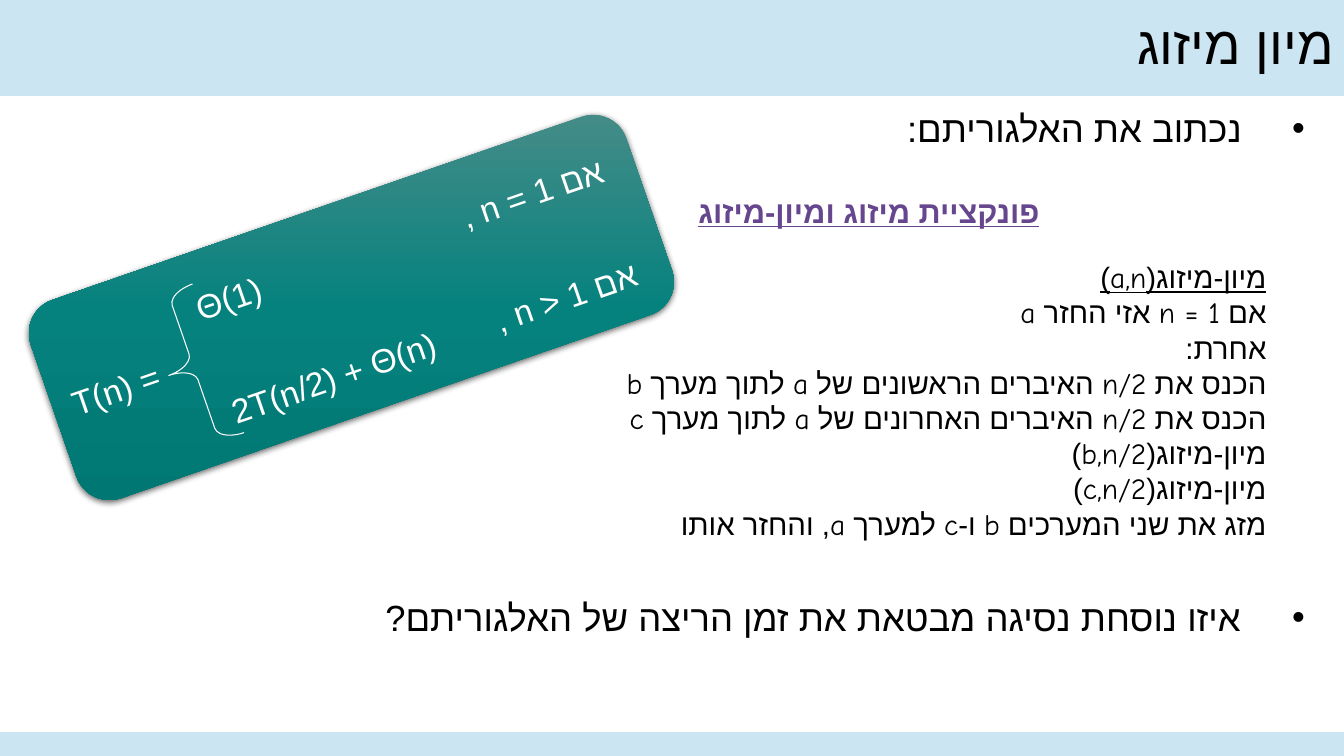
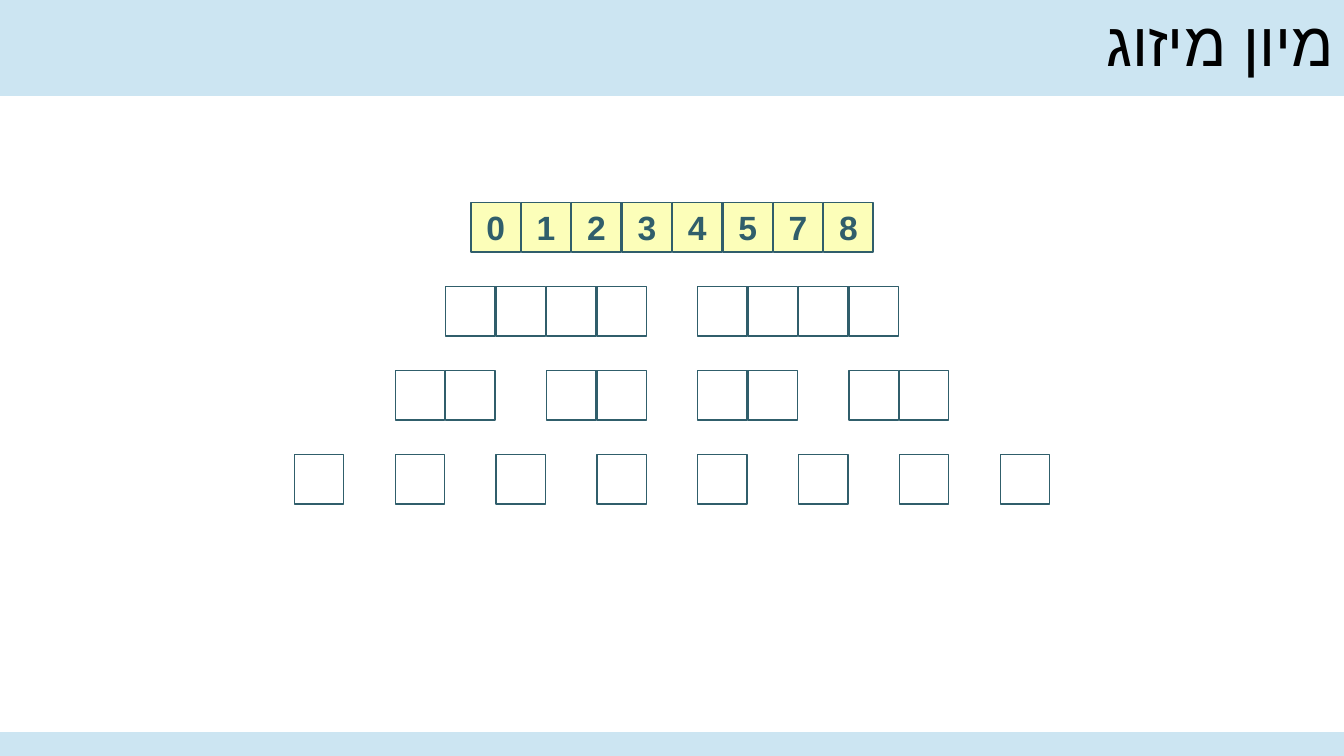
"""Builds two Hebrew slides on merge sort."""
from pptx import Presentation
from pptx.dml.color import RGBColor
from pptx.enum.shapes import MSO_SHAPE as Preset
from pptx.enum.text import MSO_ANCHOR as Anchor, PP_ALIGN as Align
from pptx.oxml import parse_xml
from pptx.oxml.ns import nsdecls
from pptx.util import Inches, Pt

BAND, INK, WHITE = "CCE5F2", "000000", "FFFFFF"
HEADING, CELL_LINE, SORTED_FILL = "66478F", "305E6B", "FCFEB9"
PANEL_STOPS = [(0, "478C88"), (50, "06827E"), (100, "007773")]
HEBREW_FONT = "Arial"
TILT = 340.9

TITLE = "מיון מיזוג"
INTRO = "נכתוב את האלגוריתם:"
CODE_HEADING = "פונקציית מיזוג ומיון-מיזוג"
CODE = [
    "מיון-מיזוג(a,n)",
    "אם n = 1 אזי החזר a",
    "אחרת:",
    "הכנס את n/2 האיברים הראשונים של a לתוך מערך b",
    "הכנס את n/2 האיברים האחרונים של a לתוך מערך c",
    "מיון-מיזוג(b,n/2)",
    "מיון-מיזוג(c,n/2)",
    "מזג את שני המערכים b ו-c למערך a, והחזר אותו",
]
QUESTION = "איזו נוסחת נסיגה מבטאת את זמן הריצה של האלגוריתם?"
BULLET = dict(size=26, indent=0.62, bullet=True)
BODY = [
    (INTRO, BULLET),
    (CODE_HEADING, dict(size=22, indent=2.63, before=35.5, color=HEADING, bold=True, underline=True)),
    *[
        (line, dict(size=21, font="Comic Neue", indent=0.38, before=5 if row else 26.5, underline=row == 0))
        for row, line in enumerate(CODE)
    ],
    (QUESTION, dict(BULLET, before=45)),
]
RECURRENCE = "T(n) ="
CASES = [("Θ(1)\t, n = 1 אם", 2.79), ("2T(n/2) + Θ(n)\t, n > 1 אם", 2.77)]
SORTED_VALUES = [0, 1, 2, 3, 4, 5, 7, 8]
GROUP_COUNTS = [1, 2, 4, 8]


def color_of(value):
    """Turn a hex string into a colour."""
    return RGBColor.from_string(value)


def style(para, size, font="Calibri", color=INK, bold=False, underline=False):
    """Format every run of a paragraph, for Latin and Hebrew alike."""
    for span in para.runs:
        span.font.size, span.font.name = Pt(size), font
        span.font.bold, span.font.underline = bold, underline
        span.font.color.rgb = color_of(color)
        span.font._element.append(parse_xml(f'<a:cs {nsdecls("a")} typeface="{HEBREW_FONT}"/>'))


def make_rtl(para, align=Align.RIGHT):
    """Set right-to-left reading and the alignment."""
    para.alignment = align
    para._p.get_or_add_pPr().set("rtl", "1")


def add_preset(page, kind, left, top, width, height, fill=None, line=None, weight=1):
    """Add a flat preset shape."""
    shape = page.shapes.add_shape(kind, Inches(left), Inches(top), Inches(width), Inches(height))
    shape.shadow.inherit = False
    if fill:
        shape.fill.solid()
        shape.fill.fore_color.rgb = color_of(fill)
    else:
        shape.fill.background()
    if line:
        shape.line.color.rgb = color_of(line)
        shape.line.width = Pt(weight)
    else:
        shape.line.fill.background()
    return shape


def add_text(page, left, top, width, height, lines):
    """Add a wrapping text box with one paragraph per line."""
    box = page.shapes.add_textbox(Inches(left), Inches(top), Inches(width), Inches(height))
    box.text_frame.word_wrap = True
    box.text_frame.text = "\n".join(lines)
    return box


def add_page(deck, title_size):
    """Add a slide with its two bands and the title."""
    page = deck.slides.add_slide(deck.slide_layouts[6])
    for top, height in [(0, 0.95), (7.27, 0.24)]:
        add_preset(page, Preset.RECTANGLE, 0, top, 13.33, height, BAND, BAND)
    box = add_text(page, 1.13, -0.01, 12.2, 0.95, [TITLE])
    box.text_frame.vertical_anchor = Anchor.MIDDLE
    para = box.text_frame.paragraphs[0]
    make_rtl(para)
    para.line_spacing = 0.9
    style(para, title_size)
    return page


def add_body(page):
    """Add the bullets and the algorithm."""
    box = add_text(page, 0.31, 1.09, 12.73, 6.01, [line for line, _ in BODY])
    for para, (_, look) in zip(box.text_frame.paragraphs, BODY):
        look = dict(look)
        indent, bullet = Inches(look.pop("indent")), look.pop("bullet", False)
        make_rtl(para)
        para.line_spacing = 0.8
        para.space_before = Pt(look.pop("before", 0))
        props = para._p.get_or_add_pPr()
        props.set("marL", str(indent))
        props.set("indent", str(-indent if bullet else 0))
        if bullet:
            props.append(parse_xml(f'<a:buFont {nsdecls("a")} typeface="Arial"/>'))
            props.append(parse_xml(f'<a:buChar {nsdecls("a")} char="•"/>'))
        style(para, **look)


def paint_panel(panel):
    """Give the panel its gradient and soft shadow."""
    stops = "".join(
        f'<a:gs pos="{place * 1000}"><a:srgbClr val="{value}"/></a:gs>' for place, value in PANEL_STOPS
    )
    gradient = parse_xml(
        f'<a:gradFill {nsdecls("a")} rotWithShape="0"><a:gsLst>{stops}</a:gsLst>'
        '<a:lin ang="5400000" scaled="0"/></a:gradFill>'
    )
    shadow = parse_xml(
        f'<a:outerShdw {nsdecls("a")} blurRad="{Pt(4.5)}" dist="{Pt(1.5)}" dir="5400000" rotWithShape="0">'
        f'<a:srgbClr val="{INK}"><a:alpha val="63000"/></a:srgbClr></a:outerShdw>'
    )
    props = panel._element.spPr
    props.replace(props.find("{*}solidFill"), gradient)
    props.find("{*}effectLst").append(shadow)


def add_recurrence(page):
    """Add the tilted panel with the recurrence formula."""
    panel = add_preset(page, Preset.ROUNDED_RECTANGLE, 0.36, 2.01, 6.25, 2.08, WHITE)
    paint_panel(panel)
    panel.text_frame.text = RECURRENCE
    panel.text_frame.vertical_anchor = Anchor.MIDDLE
    panel.text_frame.paragraphs[0].alignment = Align.LEFT
    cases = add_text(page, 1.9, 2.05, 4.69, 1.56, [line for line, _ in CASES])
    brace = add_preset(page, Preset.LEFT_BRACE, 1.66, 2.86, 0.52, 1.56, line=WHITE, weight=0.75)
    brace.adjustments[0] = 0.26
    for shape in (panel, cases, brace):
        shape.rotation = TILT
        for para in shape.text_frame.paragraphs:
            style(para, 24, "Arial", WHITE)
    for para, (_, stop) in zip(cases.text_frame.paragraphs, CASES):
        tabs = f'<a:tabLst {nsdecls("a")}><a:tab pos="{Inches(stop)}" algn="l"/></a:tabLst>'
        para._p.get_or_add_pPr().append(parse_xml(tabs))
    cases.text_frame.paragraphs[1].space_before = Pt(49)


def add_cells(page):
    """Add the levels of the sort, each split into more groups."""
    pitch, side, total = 0.5, 0.49, len(SORTED_VALUES)
    for level, groups in enumerate(GROUP_COUNTS):
        left = 6.67 - (total + groups - 1) * pitch / 2
        top = 2.01 + level * 2.5 / 3
        for index, value in enumerate(SORTED_VALUES):
            gaps = index * groups // total
            fill = WHITE if level else SORTED_FILL
            cell = add_preset(
                page, Preset.RECTANGLE, left + (index + gaps) * pitch, top, side, side, fill, CELL_LINE
            )
            if level == 0:
                cell.text_frame.text = str(value)
                para = cell.text_frame.paragraphs[0]
                make_rtl(para, Align.CENTER)
                style(para, 24, "Times New Roman", CELL_LINE, bold=True)


def main():
    """Build and save the deck."""
    deck = Presentation()
    deck.slide_width, deck.slide_height = Inches(13.33), Inches(7.5)
    algorithm = add_page(deck, 38)
    add_body(algorithm)
    add_recurrence(algorithm)
    add_cells(add_page(deck, 44))
    deck.save("out.pptx")


if __name__ == "__main__":
    main()
